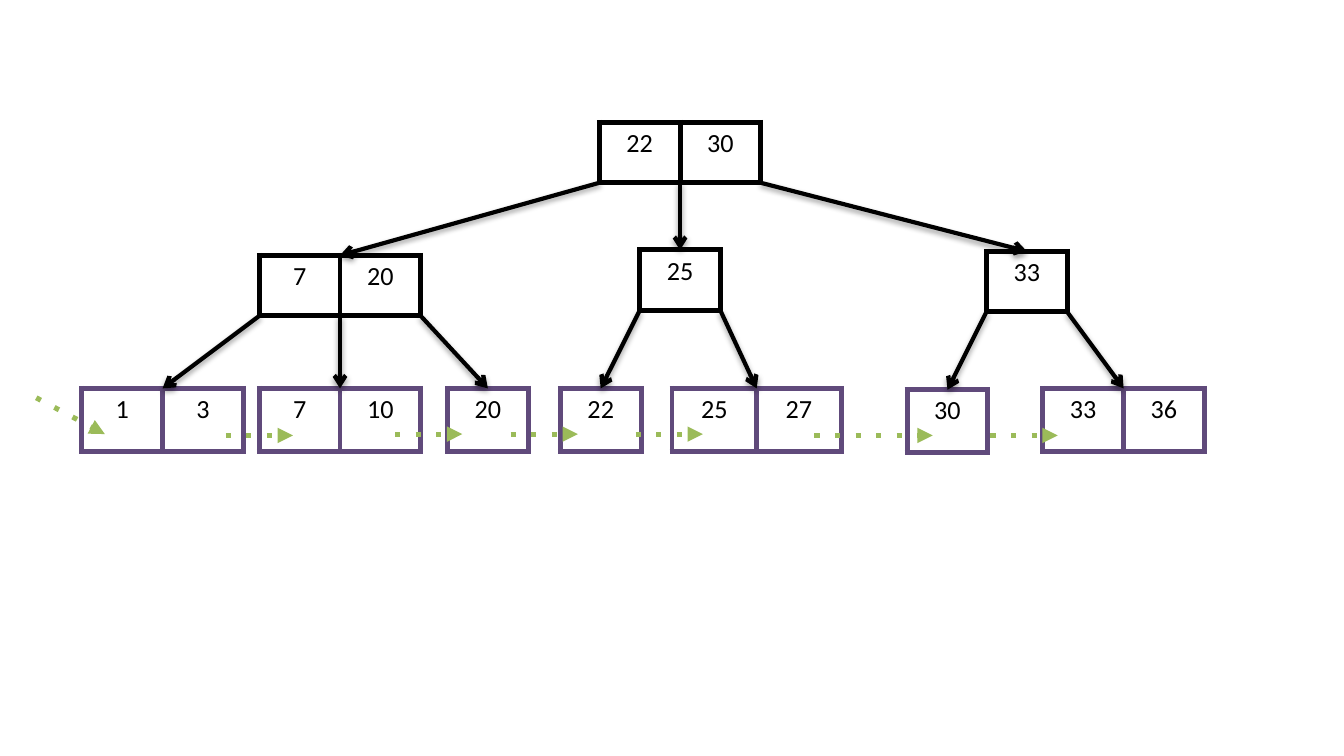
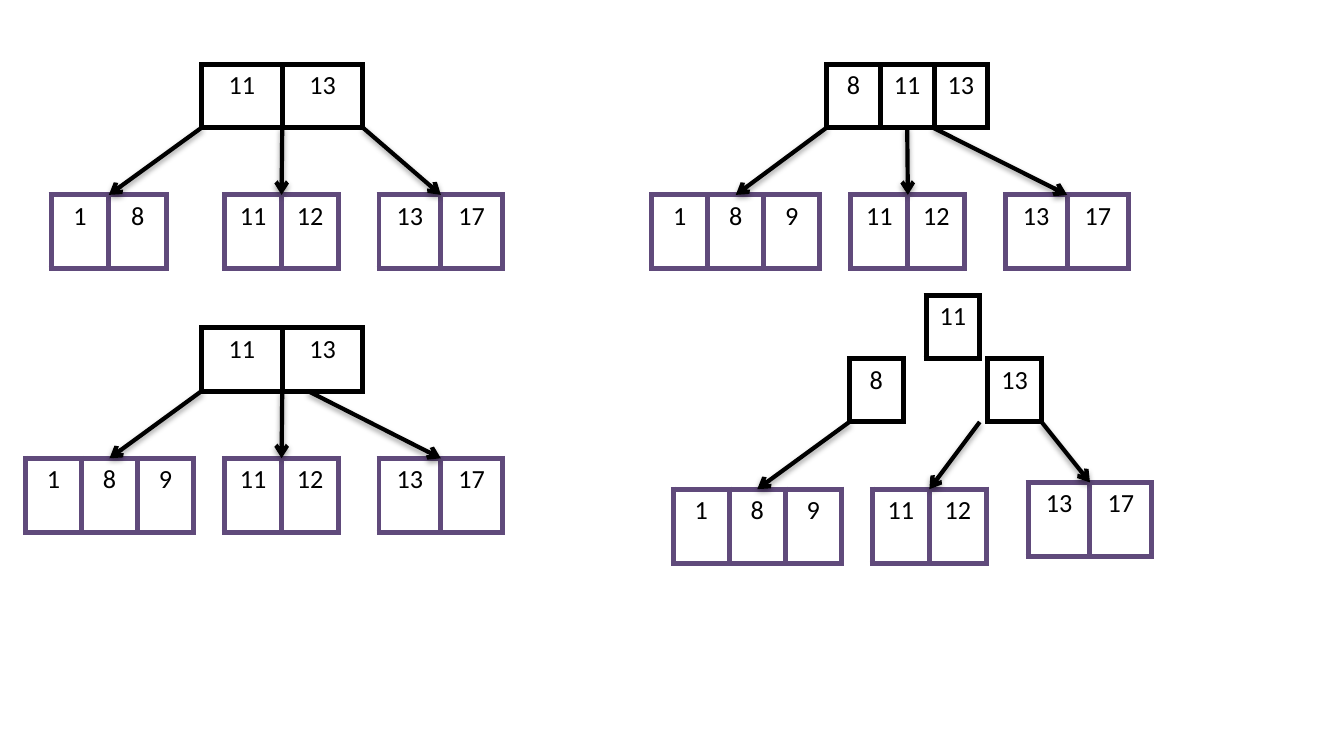
from collections import namedtuple

from lxml import etree
from pptx import Presentation
from pptx.dml.color import RGBColor
from pptx.enum import shapes, text
from pptx.oxml import ns
from pptx.util import Inches, Pt

BLACK, PURPLE, GREEN = "000000", "604A7B", "9BBB59"
FONT = "Calibri"

Node = namedtuple("Node", "left top width keys")
# starts: where each arrow leaves the parent, as a share of its width
Tree = namedtuple("Tree", "parent starts children")
Page = namedtuple("Page", "inner_height leaf_height inner leaf_trees links")

ENDS = (0, 1)
SPREAD = (0, 0.5, 1)

root = Node(4.46, 0.91, 1.2, (22, 30))
left_inner = Node(1.93, 1.9, 1.2, (7, 20))
middle_inner = Node(4.76, 1.86, 0.6, (25,))
right_inner = Node(7.34, 1.87, 0.6, (33,))

LINKED_LEAVES = Page(
    0.45, 0.47,
    [Tree(root, SPREAD, [left_inner, middle_inner, right_inner])],
    [
        Tree(left_inner, SPREAD, [
            Node(0.61, 2.89, 1.2, (1, 3)),
            Node(1.93, 2.89, 1.2, (7, 10)),
            Node(3.33, 2.89, 0.6, (20,))]),
        Tree(middle_inner, ENDS, [
            Node(4.17, 2.89, 0.6, (22,)),
            Node(5, 2.89, 1.26, (25, 27))]),
        Tree(right_inner, ENDS, [
            Node(6.75, 2.9, 0.6, (30,)),
            Node(7.76, 2.89, 1.2, (33, 36))]),
    ],
    [
        ((0.27, 2.96), (0.78, 3.23)),
        ((1.68, 3.24), (2.18, 3.24)),
        ((2.94, 3.23), (3.44, 3.23)),
        ((3.8, 3.23), (4.3, 3.23)),
        ((4.73, 3.23), (5.23, 3.23)),
        ((6.06, 3.24), (6.94, 3.24)),
        ((7.37, 3.24), (7.87, 3.24)),
    ],
)

INSERTION_STEPS = Page(
    0.47, 0.55,
    [],
    [
        Tree(Node(1.5, 0.48, 1.2, (11, 13)), SPREAD, [
            Node(0.38, 1.45, 0.86, (1, 8)),
            Node(1.67, 1.45, 0.85, (11, 12)),
            Node(2.82, 1.45, 0.92, (13, 17))]),
        Tree(Node(1.5, 2.44, 1.2, (11, 13)), (0, 0.5, 0.66), [
            Node(0.19, 3.41, 1.25, (1, 8, 9)),
            Node(1.67, 3.41, 0.85, (11, 12)),
            Node(2.82, 3.41, 0.92, (13, 17))]),
        Tree(Node(6.15, 0.48, 1.2, (8, 11, 13)), (0, 0.5, 0.66), [
            Node(4.85, 1.45, 1.25, (1, 8, 9)),
            Node(6.33, 1.45, 0.85, (11, 12)),
            Node(7.48, 1.45, 0.92, (13, 17))]),
        Tree(Node(6.89, 2.2, 0.4, (11,)), (), []),
        Tree(Node(6.32, 2.67, 0.4, (8,)), (0,), [
            Node(5.01, 3.64, 1.25, (1, 8, 9))]),
        Tree(Node(7.35, 2.67, 0.4, (13,)), (-0.15, 1), [
            Node(6.49, 3.64, 0.85, (11, 12)),
            Node(7.65, 3.59, 0.92, (13, 17))]),
    ],
    [],
)


def rgb(color):
    return RGBColor.from_string(color)


def add_element(parent, tag, **attributes):
    values = {name: str(value) for name, value in attributes.items()}
    return etree.SubElement(parent, ns.qn(tag), values)


def add_border(cell, color):
    properties = cell._tc.get_or_add_tcPr()
    for side in ("a:lnL", "a:lnR", "a:lnT", "a:lnB"):
        line = add_element(properties, side, w=Pt(3))
        add_element(add_element(line, "a:solidFill"), "a:srgbClr", val=color)


def add_node(slide, node, height, color):
    frame = slide.shapes.add_table(
        1, len(node.keys), Inches(node.left), Inches(node.top),
        Inches(node.width), Inches(height))
    table = frame.table
    table.first_row = table.horz_banding = False
    for cell, key in zip(table.rows[0].cells, node.keys):
        add_border(cell, color)
        cell.fill.background()
        cell.margin_left = cell.margin_right = Inches(0.1)
        cell.margin_top = cell.margin_bottom = Inches(0.04)
        cell.text_frame.text = str(key)
        paragraph = cell.text_frame.paragraphs[0]
        paragraph.alignment = text.PP_ALIGN.CENTER
        font = paragraph.runs[0].font
        font.name, font.size, font.bold = FONT, Pt(14), False
        font.color.rgb = rgb(BLACK)


def add_arrow(slide, start, end, color, width, head):
    """Draw a line with an arrowhead and return its empty effect list."""
    arrow = slide.shapes.add_connector(
        shapes.MSO_CONNECTOR.STRAIGHT, *map(Inches, start + end))
    arrow.line.color.rgb = rgb(color)
    arrow.line.width = Pt(width)
    line = arrow.line._get_or_add_ln()
    if color == GREEN:
        add_element(line, "a:prstDash", val="dot")
    add_element(line, "a:tailEnd", type=head)
    return add_element(arrow._element.spPr, "a:effectLst")


def add_branch(slide, start, end):
    effects = add_arrow(slide, start, end, BLACK, 2.25, "arrow")
    shadow = add_element(effects, "a:outerShdw", blurRad=Pt(3.1), dist=Pt(1.6),
                         dir=90 * 60000, rotWithShape=0)
    shade = add_element(shadow, "a:srgbClr", val=BLACK)
    add_element(shade, "a:alpha", val=38000)


def add_page(presentation, page):
    slide = presentation.slides.add_slide(presentation.slide_layouts[6])
    for tree in page.inner + page.leaf_trees:
        add_node(slide, tree.parent, page.inner_height, BLACK)
    for tree in page.leaf_trees:
        for leaf in tree.children:
            add_node(slide, leaf, page.leaf_height, PURPLE)
    for tree in page.inner + page.leaf_trees:
        parent = tree.parent
        for share, child in zip(tree.starts, tree.children):
            add_branch(
                slide,
                (parent.left + share * parent.width, parent.top + page.inner_height),
                (child.left + child.width / 2, child.top))
    for start, end in page.links:
        add_arrow(slide, start, end, GREEN, 2.75, "triangle")


def main():
    presentation = Presentation()
    presentation.slide_width = Inches(10)
    presentation.slide_height = Inches(10 * 9 / 16)
    for page in (LINKED_LEAVES, INSERTION_STEPS):
        add_page(presentation, page)
    presentation.save("out.pptx")


if __name__ == "__main__":
    main()
